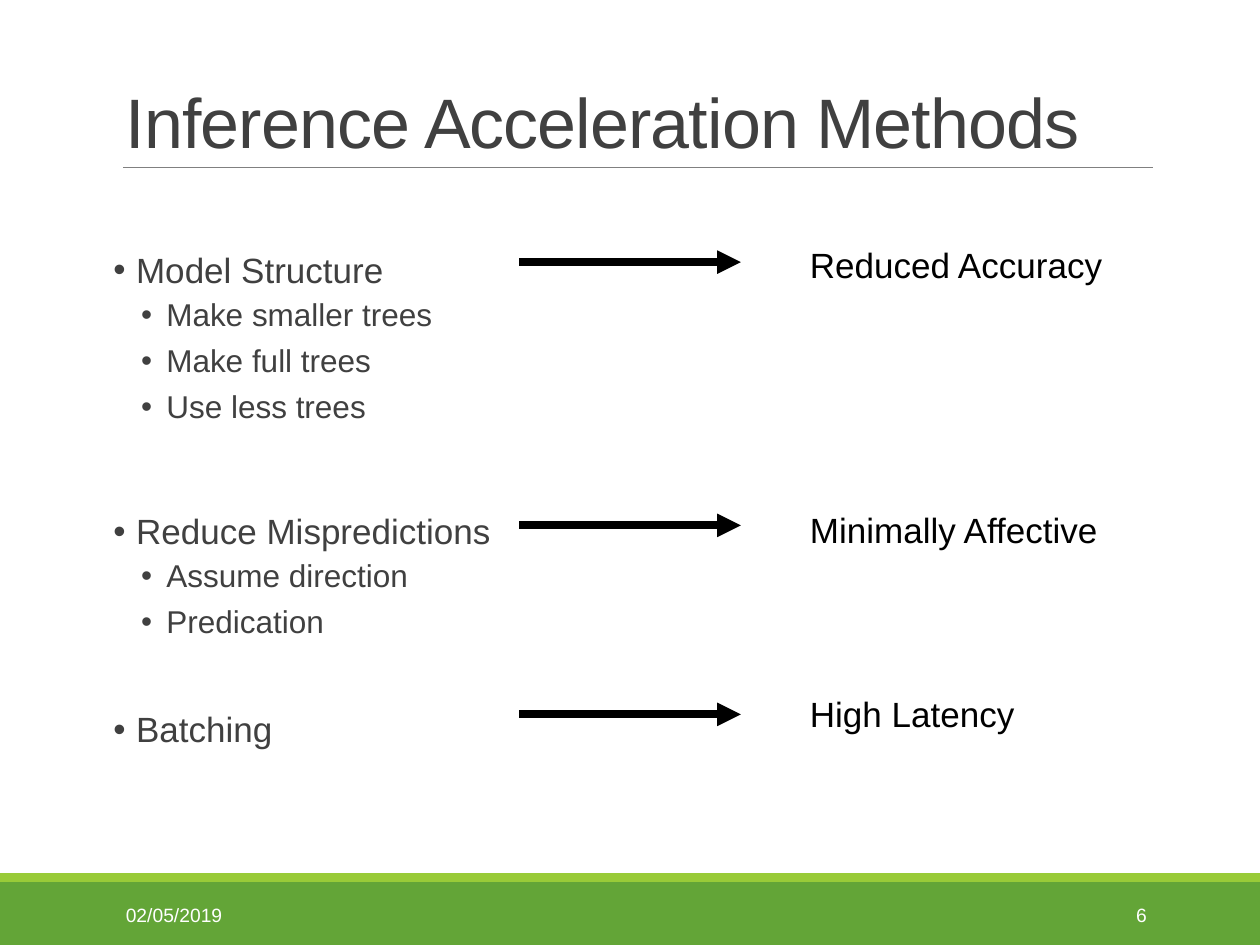
from lxml import etree
from pptx import Presentation
from pptx.dml.color import RGBColor
from pptx.enum import shapes, text
from pptx.oxml.ns import qn
from pptx.util import Inches, Pt

TITLE = "Inference Acceleration Methods"
DATE = "02/05/2019"
NUMBER = "6"
METHODS = [
    {"name": "Model Structure", "gap": 0,
     "steps": ["Make smaller trees", "Make full trees", "Use less trees"],
     "effect": "Reduced Accuracy", "arrow_y": 2.08, "effect_box": (1.88, 2.54)},
    {"name": "Reduce Mispredictions", "gap": 47,
     "steps": ["Assume direction", "Predication"],
     "effect": "Minimally Affective", "arrow_y": 4.17, "effect_box": (3.99, 2.5)},
    {"name": "Batching", "gap": 37, "steps": [],
     "effect": "High Latency", "arrow_y": 5.67, "effect_box": (5.45, 1.84)},
]
THEME = {
    "font": "Arial", "ink": "404040", "black": "000000", "white": "FFFFFF",
    "rule": "808080", "band": "63A537", "accent": "99CB38",
    "title": 40, "method": 20, "step": 18, "footer": 11,
}
LEFT = 0.9
ARROW_X = (4.12, 5.88)
EFFECT_X = 6.33
LEVELS = {
    "method": {"indent": (0.18, -0.18), "after": 2},
    "step": {"indent": (0.42, -0.2), "before": 2.8, "after": 4},
}


def color(name):
    return RGBColor.from_string(THEME[name])


def add_band(slide, top, height, fill):
    shape = slide.shapes.add_shape(
        shapes.MSO_SHAPE.RECTANGLE, 0, Inches(top), Inches(10), Inches(height))
    shape.shadow.inherit = False
    shape.fill.solid()
    shape.fill.fore_color.rgb = color(fill)
    shape.line.fill.background()


def add_line(slide, start, end, y, ink, width, arrow=False):
    line = slide.shapes.add_connector(
        shapes.MSO_CONNECTOR.STRAIGHT, Inches(start), Inches(y), Inches(end), Inches(y))
    line.line.color.rgb = color(ink)
    line.line.width = Pt(width)
    if arrow:
        etree.SubElement(line.line._get_or_add_ln(), qn("a:tailEnd"), type="triangle")
    etree.SubElement(line._element.spPr, qn("a:effectLst"))


def add_frame(slide, box, **options):
    frame = slide.shapes.add_textbox(*map(Inches, box)).text_frame
    for name, value in {"word_wrap": True, **options}.items():
        setattr(frame, name, value)
    return frame


def write(paragraph, words, size, ink, **options):
    run = paragraph.add_run()
    run.text = words
    font = {"name": THEME["font"], "size": Pt(THEME[size])}
    for name, value in font.items():
        setattr(run.font, name, value)
    run.font.color.rgb = color(ink)
    for name, value in options.items():
        setattr(paragraph, name, value)
    return run


def add_bullet(paragraph, words, level, before):
    style = LEVELS[level]
    write(paragraph, words, level, "ink", line_spacing=0.9,
          space_before=Pt(before), space_after=Pt(style["after"]))
    properties = paragraph._p.get_or_add_pPr()
    for name, value in zip(("marL", "indent"), style["indent"]):
        properties.set(name, str(Inches(value)))
    etree.SubElement(properties, qn("a:buFont"), typeface=THEME["font"])
    etree.SubElement(properties, qn("a:buChar"), char="•")


def add_methods(slide):
    frame = add_frame(slide, (LEFT, 1.96, 3.35, 4.46), margin_left=0, margin_right=0)
    rows = []
    for method in METHODS:
        rows.append((method["name"], "method", method["gap"]))
        rows += [(step, "step", LEVELS["step"]["before"]) for step in method["steps"]]
    for index, row in enumerate(rows):
        paragraph = frame.add_paragraph() if index else frame.paragraphs[0]
        add_bullet(paragraph, *row)


def add_effects(slide):
    for method in METHODS:
        add_line(slide, *ARROW_X, method["arrow_y"], "black", 4.5, arrow=True)
        top, width = method["effect_box"]
        frame = add_frame(slide, (EFFECT_X, top, width, 0.44), word_wrap=False,
                          auto_size=text.MSO_AUTO_SIZE.SHAPE_TO_FIT_TEXT)
        write(frame.paragraphs[0], method["effect"], "method", "black")


def add_footer(slide):
    for words, left, width, align in (
            (DATE, LEFT, 2.03, text.PP_ALIGN.LEFT),
            (NUMBER, 8.12, 1.08, text.PP_ALIGN.RIGHT)):
        frame = add_frame(slide, (left, 7.06, width, 0.4),
                          vertical_anchor=text.MSO_ANCHOR.MIDDLE)
        write(frame.paragraphs[0], words, "footer", "white", alignment=align)


def main():
    presentation = Presentation()
    presentation.slide_width, presentation.slide_height = Inches(10), Inches(7.5)
    slide = presentation.slides.add_slide(presentation.slide_layouts[6])
    add_band(slide, 7, 0.5, "band")
    add_band(slide, 6.93, 0.07, "accent")
    add_line(slide, 0.98, 9.15, 1.33, "rule", 0.5)
    title = add_frame(slide, (LEFT, 0.4, 8.25, 0.94),
                      vertical_anchor=text.MSO_ANCHOR.BOTTOM)
    run = write(title.paragraphs[0], TITLE, "title", "ink", line_spacing=0.85)
    run.font._element.set("spc", "-50")
    add_methods(slide)
    add_footer(slide)
    add_effects(slide)
    presentation.save("out.pptx")


if __name__ == "__main__":
    main()
